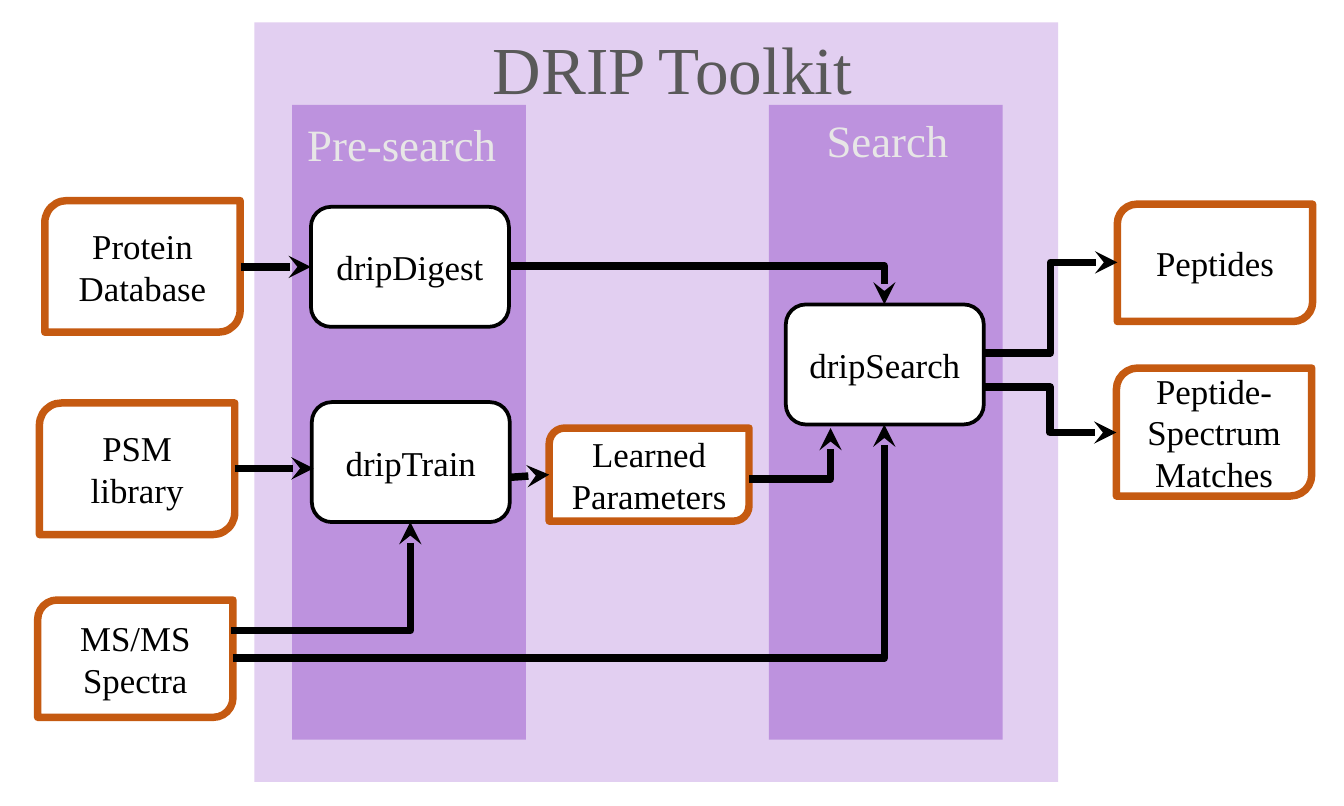
"""Build the DRIP Toolkit workflow slide on a grid of 15 columns by 9 rows."""
from dataclasses import dataclass

from lxml import etree
from pptx import Presentation
from pptx import util as u
from pptx.dml.color import RGBColor
from pptx.enum import shapes, text
from pptx.oxml.ns import qn

COLS, ROWS = 15, 9
LEFT, CENTER = text.PP_ALIGN.LEFT, text.PP_ALIGN.CENTER
TOP, MIDDLE = text.MSO_ANCHOR.TOP, text.MSO_ANCHOR.MIDDLE
RECT = shapes.MSO_SHAPE.RECTANGLE
PROCESS = shapes.MSO_SHAPE.ROUNDED_RECTANGLE
DATA = shapes.MSO_SHAPE.ROUND_2_DIAG_RECTANGLE


@dataclass(frozen=True)
class Theme:
    """Colours, type sizes and line widths of the slide."""
    font: str = "Times New Roman"
    toolkit: str = "E2CFF1"
    stage: str = "BD92DE"
    title: str = "595959"
    heading: str = "E7E6E6"
    ink: str = "000000"
    paper: str = "FFFFFF"
    data: str = "C55A11"
    title_size: int = 54
    heading_size: int = 36
    label_size: int = 28
    thin: int = 3
    thick: int = 6


class Diagram:
    """Holds the theme and the current slide and draws each kind of element."""

    def __init__(self, prs, theme):
        self.theme = theme
        self.col, self.row = prs.slide_width / COLS, prs.slide_height / ROWS
        self.s = prs.slides.add_slide(prs.slide_layouts[5])

    def place(self, x, y, w, h):
        return (u.Emu(round(x * self.col)), u.Emu(round(y * self.row)),
                u.Emu(round(w * self.col)), u.Emu(round(h * self.row)))

    def set_text(self, sp, words, size, color, align, anchor):
        tf = sp.text_frame
        tf.text = words
        tf.word_wrap = True
        tf.auto_size = text.MSO_AUTO_SIZE.NONE
        tf.vertical_anchor = anchor
        for p in tf.paragraphs:
            p.alignment = align
            for r in p.runs:
                r.font.name, r.font.size = self.theme.font, u.Pt(size)
                r.font.color.rgb = RGBColor.from_string(color)

    def shape(self, kind, at, fill=None, line=None, width=0):
        sp = self.s.shapes.add_shape(kind, *self.place(*at))
        sp.shadow.inherit = False
        if fill:
            sp.fill.solid()
            sp.fill.fore_color.rgb = RGBColor.from_string(fill)
        else:
            sp.fill.background()
        if line:
            sp.line.color.rgb = RGBColor.from_string(line)
            sp.line.width = u.Pt(width)
        else:
            sp.line.fill.background()
        return sp

    def title(self, words, at):
        sp = self.s.shapes.title
        sp.left, sp.top, sp.width, sp.height = self.place(*at)
        self.set_text(sp, words, self.theme.title_size, self.theme.title, LEFT, TOP)
        sp.element.getparent().append(sp.element)

    def stage(self, words, x, heading_at, align):
        self.shape(RECT, (x, 1.17, 2.61, 7.09), self.theme.stage)
        sp = self.s.shapes.add_textbox(*self.place(*heading_at, 2.61, 0.71))
        self.set_text(sp, words, self.theme.heading_size, self.theme.heading, align, TOP)

    def label(self, sp, words):
        self.set_text(sp, words, self.theme.label_size, self.theme.ink, CENTER, MIDDLE)

    def process(self, words, x, y):
        t = self.theme
        self.label(self.shape(PROCESS, (x, y, 2.21, 1.34), t.paper, t.ink, t.thin), words)

    def data(self, words, x, y, h, w=2.18, fill=None):
        t = self.theme
        self.label(self.shape(DATA, (x, y, w, h), fill, t.data, t.thick), words)

    def arrow(self, start, end, preset="line"):
        kind = shapes.MSO_CONNECTOR.STRAIGHT if preset == "line" else shapes.MSO_CONNECTOR.ELBOW
        cx = self.s.shapes.add_connector(kind, *self.place(*start, *end))
        cx.line.color.rgb = RGBColor.from_string(self.theme.ink)
        cx.line.width = u.Pt(self.theme.thick)
        pr = cx.element.spPr
        pr.find(qn("a:prstGeom")).set("prst", preset)
        etree.SubElement(pr.find(qn("a:ln")), qn("a:tailEnd"), type="stealth")
        etree.SubElement(pr, qn("a:effectLst"))


prs = Presentation()
prs.slide_width, prs.slide_height = u.Inches(COLS), u.Inches(ROWS)
theme = Theme()
d = Diagram(prs, theme)

d.shape(RECT, (2.84, 0.25, 8.97, 8.48), theme.toolkit)
d.stage("Search", 8.58, (8.6, 1.21), CENTER)
d.stage("Pre-search", 3.26, (3.33, 1.25), LEFT)
d.title("DRIP Toolkit", (5.4, 0.25, 4.78, 1.01))

for words, x, y in (("dripDigest", 3.47, 2.31),
                    ("dripTrain", 3.48, 4.49),
                    ("dripSearch", 8.77, 3.4)):
    d.process(words, x, y)

for words, x, y, h in (("Protein Database", 0.5, 2.24, 1.47),
                       ("PSM library", 0.44, 4.5, 1.47),
                       ("MS/MS Spectra", 0.42, 6.7, 1.31),
                       ("Peptides", 12.47, 2.28, 1.31),
                       ("Peptide-Spectrum Matches", 12.46, 4.11, 1.43)):
    d.data(words, x, y, h)
d.data("Learned\nParameters", 6.13, 4.78, 1.04, 2.23, theme.paper)

for start, end in (((2.69, 2.98), (3.47, 2.98)),
                   ((2.62, 5.23), (3.5, 5.23)),
                   ((5.69, 5.33), (6.13, 5.3))):
    d.arrow(start, end)
for start, end in (((5.69, 2.97), (9.87, 3.4)),
                   ((2.6, 7.35), (9.87, 4.74)),
                   ((2.58, 7.04), (4.58, 5.83)),
                   ((8.36, 5.35), (9.27, 4.78))):
    d.arrow(start, end, "bentConnector2")
for start, end in (((10.98, 3.94), (12.47, 2.93)),
                   ((10.98, 4.32), (12.46, 4.83))):
    d.arrow(start, end, "bentConnector3")

prs.save("out.pptx")
